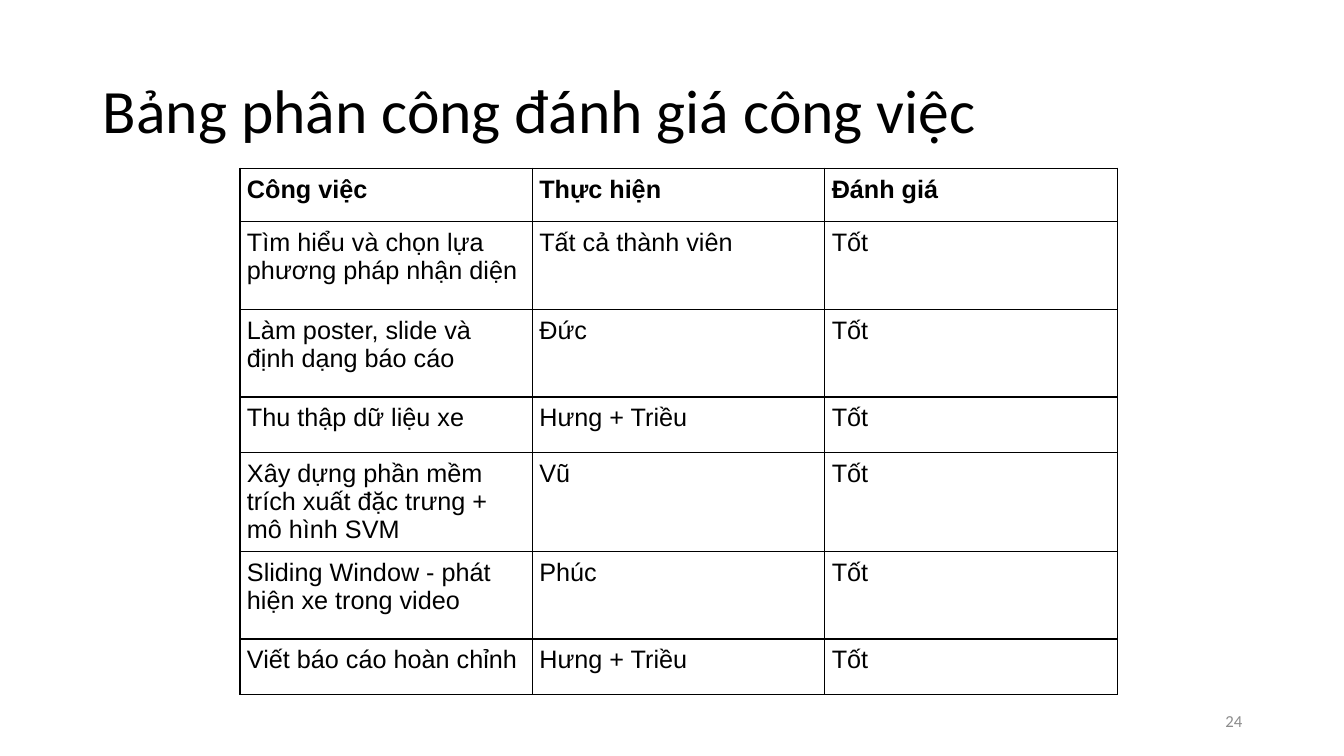
from lxml.etree import SubElement
from pptx import Presentation
from pptx.dml.color import RGBColor
from pptx.enum.text import MSO_ANCHOR, MSO_AUTO_SIZE, PP_ALIGN
from pptx.oxml.ns import qn
from pptx.util import Inches, Pt

# Content
HEADING = "Bảng phân công đánh giá công việc"
PAGE_NUMBER = "24"
HEADER = ("Công việc", "Thực hiện", "Đánh giá")
RATING = "Tốt"
TASKS = [
    ("Tìm hiểu và chọn lựa phương pháp nhận diện", "Tất cả thành viên"),
    ("Làm poster, slide và định dạng báo cáo", "Đức"),
    ("Thu thập dữ liệu xe", "Hưng + Triều"),
    ("Xây dựng phần mềm trích xuất đặc trưng + mô hình SVM", "Vũ"),
    ("Sliding Window - phát hiện xe trong video", "Phúc"),
    ("Viết báo cáo hoàn chỉnh", "Hưng + Triều"),
]
ROW_HEIGHTS = (0.53, 0.87, 0.87, 0.55, 0.87, 0.87, 0.55)

# Theme
THEME = {
    "border": "000000",
    "border_width": Pt(1),
    "heading": {"name": "Calibri", "size": Pt(44), "color": "000000"},
    "header": {"name": "Arial", "size": Pt(18), "color": "000000", "bold": True},
    "body": {"name": "Arial", "size": Pt(18), "color": "000000", "bold": False},
    "page": {"name": "Calibri", "size": Pt(12), "color": "8C8C8C"},
}

# Layout
HEADING_BOX = (0.92, 0.4, 11.5, 1.45)
TABLE_LEFT, TABLE_TOP, COLUMN_WIDTH = 2.38, 1.67, 2.9
PAGE_BOX = (9.42, 6.95, 3, 0.4)
CELL_FORMAT = dict.fromkeys(
    ("margin_left", "margin_right", "margin_top", "margin_bottom"), Inches(0.07))


def set_attributes(target, values):
    for name, value in values.items():
        setattr(target, name, value)


def write(frame, text, style, align=PP_ALIGN.LEFT):
    paragraph = frame.paragraphs[0]
    paragraph.alignment = align
    run = paragraph.add_run()
    run.text = text
    set_attributes(run.font, {k: v for k, v in style.items() if k != "color"})
    run.font.color.rgb = RGBColor.from_string(style["color"])
    return paragraph


def add_borders(cell):
    properties = cell._tc.get_or_add_tcPr()
    for side in ("lnL", "lnR", "lnT", "lnB"):
        line = SubElement(properties, qn(f"a:{side}"), w=str(THEME["border_width"]))
        fill = SubElement(line, qn("a:solidFill"))
        SubElement(fill, qn("a:srgbClr"), val=THEME["border"])


def add_heading(slide):
    heading = slide.shapes.title
    set_attributes(heading, dict(zip(("left", "top", "width", "height"),
                                     map(Inches, HEADING_BOX))))
    set_attributes(heading.text_frame, {
        "vertical_anchor": MSO_ANCHOR.MIDDLE, "word_wrap": True,
        "auto_size": MSO_AUTO_SIZE.NONE})
    write(heading.text_frame, HEADING, THEME["heading"]).line_spacing = 0.9


def add_task_table(slide):
    rows = [HEADER] + [(*task, RATING) for task in TASKS]
    table = slide.shapes.add_table(
        len(rows), len(HEADER), Inches(TABLE_LEFT), Inches(TABLE_TOP),
        Inches(COLUMN_WIDTH * len(HEADER)), Inches(sum(ROW_HEIGHTS))).table
    set_attributes(table, {"first_row": False, "horz_banding": False})
    for column in table.columns:
        column.width = Inches(COLUMN_WIDTH)
    for r, (row, height) in enumerate(zip(rows, ROW_HEIGHTS)):
        table.rows[r].height = Inches(height)
        for c, text in enumerate(row):
            cell = table.cell(r, c)
            set_attributes(cell, CELL_FORMAT)
            add_borders(cell)
            cell.fill.background()
            write(cell.text_frame, text, THEME["body" if r else "header"])


def add_page_number(slide):
    page = slide.shapes.add_textbox(*map(Inches, PAGE_BOX)).text_frame
    set_attributes(page, {"word_wrap": True, "vertical_anchor": MSO_ANCHOR.MIDDLE})
    write(page, PAGE_NUMBER, THEME["page"], PP_ALIGN.RIGHT)


def main():
    deck = Presentation()
    set_attributes(deck, {"slide_width": Inches(13.33), "slide_height": Inches(7.5)})
    slide = deck.slides.add_slide(deck.slide_layouts.get_by_name("Title Only"))
    add_heading(slide)
    add_task_table(slide)
    add_page_number(slide)
    deck.save("out.pptx")


if __name__ == "__main__":
    main()
